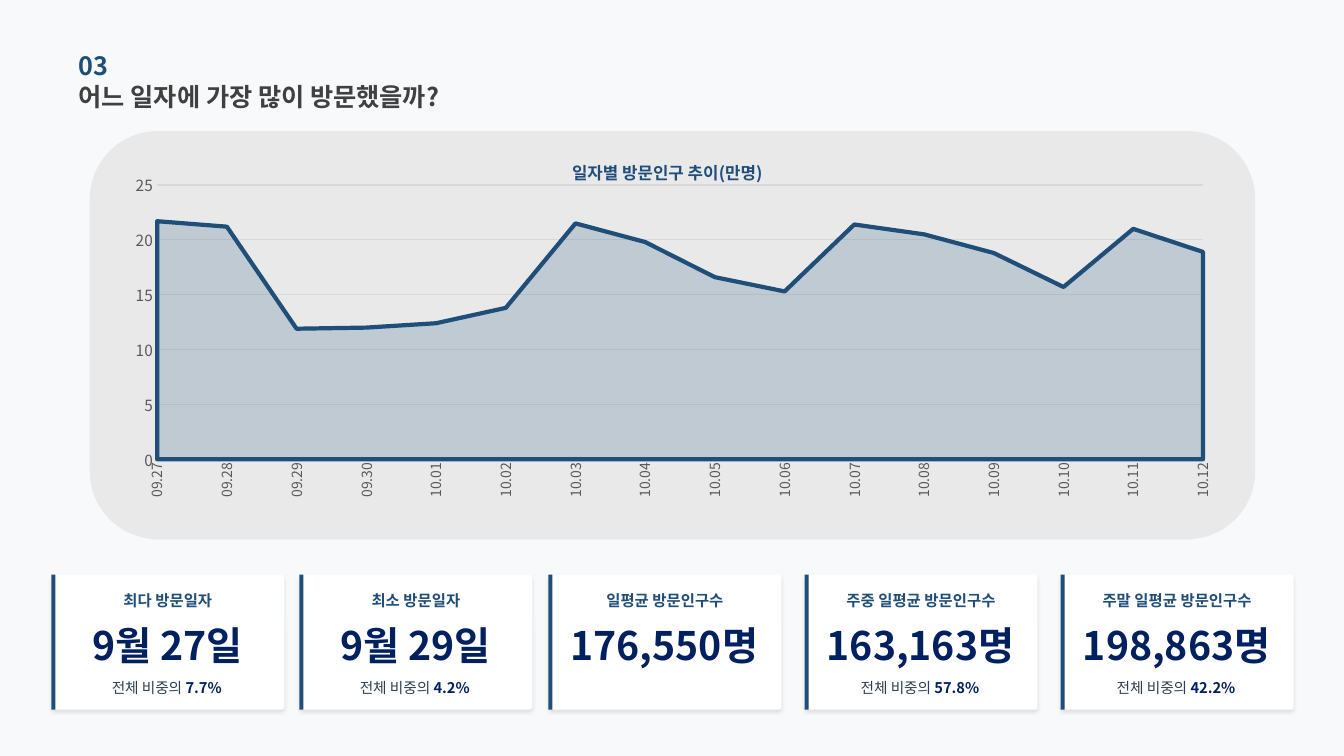
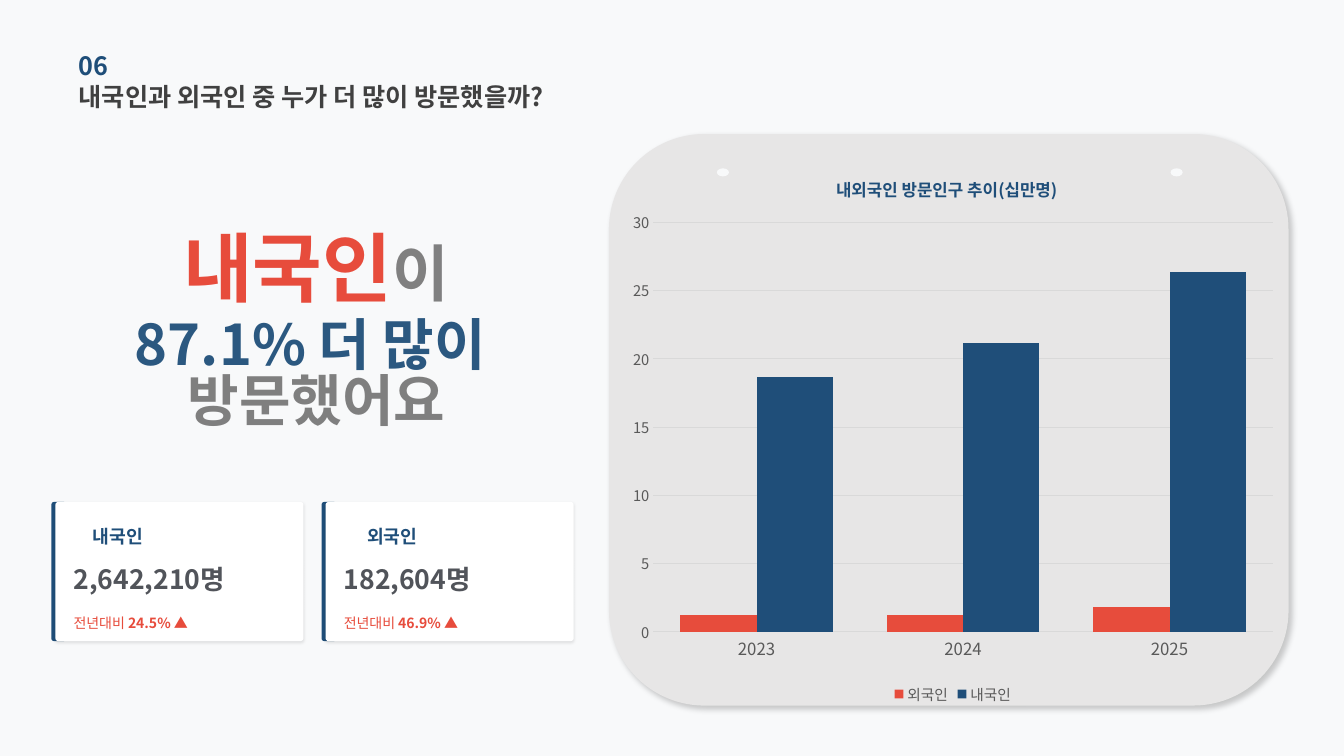
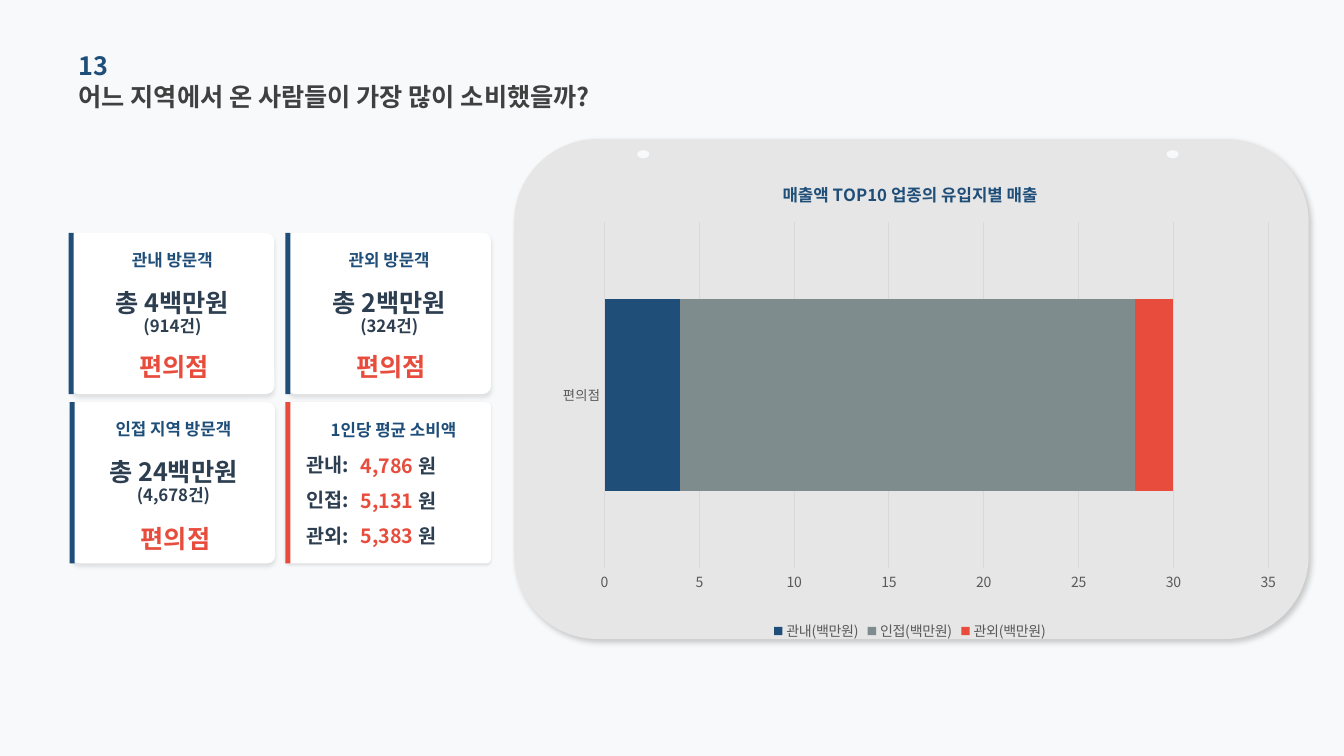
from dataclasses import dataclass
from typing import NamedTuple, Optional

from lxml import etree
from pptx import Presentation
from pptx import util as u
from pptx.chart import data
from pptx.dml import color
from pptx.enum import chart as kinds
from pptx.enum import shapes, text
from pptx.oxml import ns, parse_xml

SCALE = 9144
FACE = "Noto Sans CJK KR"
PAPER, WHITE, PANEL = "F8F9FA", "FFFFFF", "E7E6E6"
NAVY, DEEP, INK, RED = "1F4E79", "002060", "2C3E50", "E74C3C"
GREY, RULE = "595959", "D9D9D9"
LEFT, MID = text.PP_ALIGN.LEFT, text.PP_ALIGN.CENTER
RECT = shapes.MSO_SHAPE.RECTANGLE
ROUND = shapes.MSO_SHAPE.ROUNDED_RECTANGLE
OVAL = shapes.MSO_SHAPE.OVAL


class Box(NamedTuple):
    left: int
    top: int
    wide: int
    high: int


class Run(NamedTuple):
    words: str
    size: Optional[float] = None
    hue: Optional[str] = None
    bold: Optional[bool] = None


class Shade(NamedTuple):
    alpha: int
    blur: int
    dist: int
    turn: int


CARD = Shade(10, 3, 2, 90)
SOFT = Shade(10, 2, 1, 90)
BOARD = Shade(20, 4, 3, 45)


@dataclass
class Stat:
    left: int
    label: str
    value: str
    share: str = ""


@dataclass
class Guest:
    left: int
    inset: int
    label: str
    value: str
    rise: str


@dataclass
class Spend:
    left: int
    top: int
    label: str
    value: str
    count: str
    shop: int = 109


@dataclass
class Series:
    name: str
    vals: list
    hue: str


@dataclass
class Graph:
    kind: kinds.XL_CHART_TYPE
    box: Box
    title: str
    spot: tuple
    plot: tuple
    cats: list
    rows: list
    top: int
    cat: float
    val: float
    key: float = 0
    gap: int = 0


def px(size: int) -> u.Emu:
    return u.Emu(int(size * SCALE))


def rgb(code: str) -> color.RGBColor:
    return color.RGBColor.from_string(code)


def style(font, size: float, hue: str, bold: bool = False) -> None:
    font.size = u.Pt(size)
    font.bold = bold
    font.name = FACE
    font.color.rgb = rgb(hue)
    etree.SubElement(font._rPr, ns.qn("a:ea"), typeface=FACE)


def fade(node, alpha: int) -> None:
    hue = node.xpath(".//a:solidFill/a:srgbClr")[0]
    etree.SubElement(hue, ns.qn("a:alpha"), val=str(alpha * 1000))


def fill_text(frame, paras: list, size: float, hue: str, bold: bool = True,
              align=LEFT, space: float = 1.0) -> None:
    frame.word_wrap = True
    frame.vertical_anchor = text.MSO_ANCHOR.MIDDLE
    frame.margin_left = frame.margin_right = 0
    frame.margin_top = frame.margin_bottom = 0
    for at, runs in enumerate(paras):
        para = frame.add_paragraph() if at else frame.paragraphs[0]
        para.alignment = align
        para.line_spacing = space
        for item in runs:
            words = item.words.rstrip("\n")
            run = para.add_run()
            run.text = words
            style(run.font, item.size or size, item.hue or hue,
                  bold if item.bold is None else item.bold)
            if words != item.words:
                para.add_line_break()


def write(slide, box: Box, *runs, **form) -> None:
    shape = slide.shapes.add_textbox(*map(px, box))
    fill_text(shape.text_frame, [[Run(r) if isinstance(r, str) else r for r in runs]], **form)


def draw(slide, kind, box: Box, hue: str, shade: Optional[Shade] = None,
         bend: Optional[float] = None, alpha: int = 100):
    shape = slide.shapes.add_shape(kind, *map(px, box))
    shape.fill.solid()
    shape.fill.fore_color.rgb = rgb(hue)
    shape.line.fill.background()
    shape.shadow.inherit = False
    if alpha < 100:
        fade(shape.element, alpha)
    if bend is not None:
        shape.adjustments[0] = bend
    if shade:
        shape.element.xpath(".//a:effectLst")[0].append(parse_xml(
            f'<a:outerShdw {ns.nsdecls("a")} blurRad="{shade.blur * 12700}" '
            f'dist="{shade.dist * 12700}" dir="{shade.turn * 60000}" algn="ctr" '
            f'rotWithShape="0"><a:srgbClr val="000000">'
            f'<a:alpha val="{shade.alpha * 1000}"/></a:srgbClr></a:outerShdw>'))
    return shape


def place(node, at: int, *edges: float) -> None:
    for old in node.findall(ns.qn("c:layout")):
        node.remove(old)
    inner = '<c:layoutTarget val="inner"/>' if len(edges) == 4 else ""
    modes = "".join(f'<c:{k}Mode val="edge"/>' for k in "xy")
    sizes = "".join(f'<c:{k} val="{v}"/>' for k, v in zip("xywh", edges))
    node.insert(at, parse_xml(
        f'<c:layout {ns.nsdecls("c")}><c:manualLayout>{inner}{modes}{sizes}'
        f'</c:manualLayout></c:layout>'))


def plot(slide, graph: Graph):
    feed = data.CategoryChartData()
    feed.categories = graph.cats
    for row in graph.rows:
        feed.add_series(row.name, row.vals)
    chart = slide.shapes.add_chart(graph.kind, *map(px, graph.box), feed).chart
    style(chart.font, 10, "000000")
    root = chart.element.find(ns.qn("c:chart"))
    root.addnext(parse_xml(
        f'<c:spPr {ns.nsdecls("c", "a")}><a:noFill/><a:ln><a:noFill/></a:ln></c:spPr>'))

    chart.has_title = True
    head = chart.chart_title
    run = head.text_frame.paragraphs[0].add_run()
    run.text = graph.title
    style(run.font, 12, NAVY, True)
    head.include_in_layout = False
    place(root.find(ns.qn("c:title")), 1, *graph.spot)
    place(root.find(ns.qn("c:plotArea")), 0, *graph.plot)

    cats, vals = chart.category_axis, chart.value_axis
    for axis, size in ((cats, graph.cat), (vals, graph.val)):
        axis.major_tick_mark = axis.minor_tick_mark = kinds.XL_TICK_MARK.NONE
        style(axis.tick_labels.font, size, GREY)
    cats.has_major_gridlines = False
    vals.has_major_gridlines = True
    for line in (cats.format.line, vals.major_gridlines.format.line):
        line.color.rgb = rgb(RULE)
        line.width = u.Pt(0.75)
    vals.format.line.fill.background()
    vals.minimum_scale, vals.maximum_scale, vals.major_unit = 0, graph.top, 5

    chart.has_legend = bool(graph.key)
    if graph.key:
        chart.legend.position = kinds.XL_LEGEND_POSITION.BOTTOM
        chart.legend.include_in_layout = False
        style(chart.legend.font, graph.key, GREY)
    body = chart.plots[0]
    body.vary_by_categories = False
    if graph.gap:
        body.gap_width = graph.gap
    for item, row in zip(body.series, graph.rows):
        item.format.fill.solid()
        item.format.fill.fore_color.rgb = rgb(row.hue)
    return chart


def start(deck, mark: str, title: str):
    slide = deck.slides.add_slide(deck.slide_layouts[5])
    head = slide.shapes.title
    head.left, head.top, head.width, head.height = map(px, Box(78, 75, 535, 41))
    fill_text(head.text_frame, [[Run(title)]], size=18, hue="404040")
    write(slide, Box(78, 44, 452, 41), mark, size=18, hue=NAVY)
    return slide


def board(slide, box: Box, pins: tuple, top: int) -> None:
    draw(slide, ROUND, box, PANEL, BOARD)
    for left in pins:
        draw(slide, OVAL, Box(left, top, 12, 8), PAPER)


def stat(slide, card: Stat) -> None:
    left, top = card.left, 570
    draw(slide, ROUND, Box(left, top, 231, 134), WHITE, CARD, 0.02)
    draw(slide, RECT, Box(left, top, 4, 134), NAVY)
    write(slide, Box(left + 10, top + 15, 211, 22), card.label, size=11, hue=NAVY, align=MID)
    write(slide, Box(left - 8, top + 51, 246, 38), card.value, size=28, hue=DEEP, align=MID)
    if card.share:
        write(slide, Box(left + 50, top + 102, 132, 21), Run("전체 비중의 ", bold=False),
              Run(card.share + " ", hue=DEEP), size=10.5, hue=INK, align=MID)


def guest(slide, card: Guest) -> None:
    left, top = card.left, 498
    draw(slide, ROUND, Box(left - 4, top, 15, 138), NAVY)
    draw(slide, ROUND, Box(left, top, 246, 138), WHITE, SOFT, 0.02)
    write(slide, Box(left + card.inset, top + 20, 65, 28), card.label, size=13, hue=NAVY)
    write(slide, Box(left + 18, top + 57, 254, 39), card.value, size=19, hue="51545A")
    write(slide, Box(left + 18, top + 97, 254, 45), Run("전년대비 ", bold=False),
          card.rise + " ▲", size=10, hue=RED)


def spend(slide, card: Spend) -> None:
    left, top = card.left, card.top
    draw(slide, ROUND, Box(left, top, 202, 160), WHITE, CARD, 0.05)
    draw(slide, RECT, Box(left - 2, top, 5, 160), NAVY)
    write(slide, Box(left, top + 11, 202, 31), card.label, size=12, hue=NAVY, align=MID)
    write(slide, Box(left, top + 56, 202, 47), card.value + "\n", Run(card.count, 12),
          size=18, hue=INK, align=MID, space=0.9)
    write(slide, Box(left + 3, top + card.shop, 200, 47), "편의점",
          size=18, hue=RED, align=MID)


def dates(deck) -> None:
    slide = start(deck, "03", "어느 일자에 가장 많이 방문했을까?")
    draw(slide, ROUND, Box(89, 130, 1156, 405), "D0CECE", alpha=36)
    for card in (Stat(51, "최다 방문일자", "9월 27일", "7.7%"),
                 Stat(297, "최소 방문일자", "9월 29일", "4.2%"),
                 Stat(544, "일평균 방문인구수", "176,550명"),
                 Stat(798, "주중 일평균 방문인구수", "163,163명", "57.8%"),
                 Stat(1052, "주말 일평균 방문인구수", "198,863명", "42.2%")):
        stat(slide, card)
    days = [f"09.{d}" for d in range(27, 31)] + [f"10.{d:02}" for d in range(1, 13)]
    vals = [21.7, 21.2, 11.9, 12, 12.4, 13.8, 21.5, 19.8,
            16.6, 15.3, 21.4, 20.5, 18.8, 15.7, 21, 18.9]
    chart = plot(slide, Graph(
        kinds.XL_CHART_TYPE.AREA, Box(108, 133, 1113, 408), "일자별 방문인구 추이(만명)",
        (0.41, 0.05), (0.043, 0.124, 0.932, 0.667), days,
        [Series("Series 1", vals, NAVY)], top=25, cat=10, val=11))
    line = chart.plots[0].series[0].format.line
    fade(chart.element.xpath(".//c:ser")[0], 20)
    line.color.rgb = rgb(NAVY)
    line.width = u.Pt(3)
    chart.element.xpath(".//c:crossBetween")[0].set("val", "midCat")
    chart.category_axis._element.xpath("c:txPr/a:bodyPr")[0].set("rot", "-5400000")


def origins(deck) -> None:
    slide = start(deck, "06", "내국인과 외국인 중 누가 더 많이 방문했을까?")
    board(slide, Box(604, 133, 674, 567), (711, 1161), 167)
    write(slide, Box(99, 240, 429, 48), Run("내국인", 54, RED), "이",
          size=44, hue="808080", align=MID)
    lines = slide.shapes.add_textbox(*map(px, Box(38, 332, 552, 84)))
    fill_text(lines.text_frame, [[Run("87.1% 더 많이 ")], [Run("방문했어요", hue="7F7F7F")]],
              size=40, hue="2B5880", align=MID, space=0.83)
    for card in (Guest(55, 37, "내국인", "2,642,210명", "24.5%"),
                 Guest(323, 41, "외국인", "182,604명", "46.9%")):
        guest(slide, card)
    chart = plot(slide, Graph(
        kinds.XL_CHART_TYPE.COLUMN_CLUSTERED, Box(615, 148, 660, 555),
        "내외국인 방문인구 추이(십만명)", (0.32, 0.04), (0.05, 0.131, 0.931, 0.732),
        ["2023", "2024", "2025"],
        [Series("외국인", [1.2, 1.2, 1.8], RED), Series("내국인", [18.7, 21.2, 26.4], NAVY)],
        top=30, cat=12, val=10.5, key=10.5, gap=70))
    chart.plots[0].overlap = 0


def regions(deck) -> None:
    slide = start(deck, "13", "어느 지역에서 온 사람들이 가장 많이 소비했을까?")
    board(slide, Box(510, 138, 788, 496), (632, 1157), 149)
    for card in (Spend(70, 231, "관내 방문객", "총 4백만원", "(914건)"),
                 Spend(285, 231, "관외 방문객", "총 2백만원", "(324건)"),
                 Spend(71, 399, "인접 지역 방문객", "총 24백만원", "(4,678건)", 112)):
        spend(slide, card)
    draw(slide, ROUND, Box(283, 399, 204, 160), WHITE, SOFT, 0.03)
    draw(slide, RECT, Box(283, 399, 5, 160), RED)
    write(slide, Box(328, 414, 140, 25), "1인당 평균 소비액", size=12, hue=NAVY)
    means = (("관내:", "4,786 "), ("인접:", "5,131 "), ("관외:", "5,383 "))
    for at, (area, cost) in enumerate(means):
        top = 446 + 35 * at
        write(slide, Box(304, top, 59, 30), area, size=14, hue=INK)
        write(slide, Box(358, top + 1, 120, 29), cost, Run("원", hue=INK), size=14, hue=RED)
    chart = plot(slide, Graph(
        kinds.XL_CHART_TYPE.BAR_STACKED, Box(522, 156, 761, 484),
        "매출액 TOP10 업종의 유입지별 매출", (0.33, 0.04), (0.102, 0.133, 0.865, 0.709),
        ["편의점"],
        [Series("관내(백만원)", [4], NAVY), Series("인접(백만원)", [24], "7F8C8D"),
         Series("관외(백만원)", [2], RED)],
        top=35, cat=9.5, val=10, key=10, gap=80))
    chart.plots[0].overlap = 100


def main() -> None:
    deck = Presentation()
    deck.slide_width, deck.slide_height = u.Inches(13.33), u.Inches(7.5)
    back = deck.slide_master.background.fill
    back.solid()
    back.fore_color.rgb = rgb(PAPER)
    for build in (dates, origins, regions):
        build(deck)
    deck.save("out.pptx")


if __name__ == "__main__":
    main()
